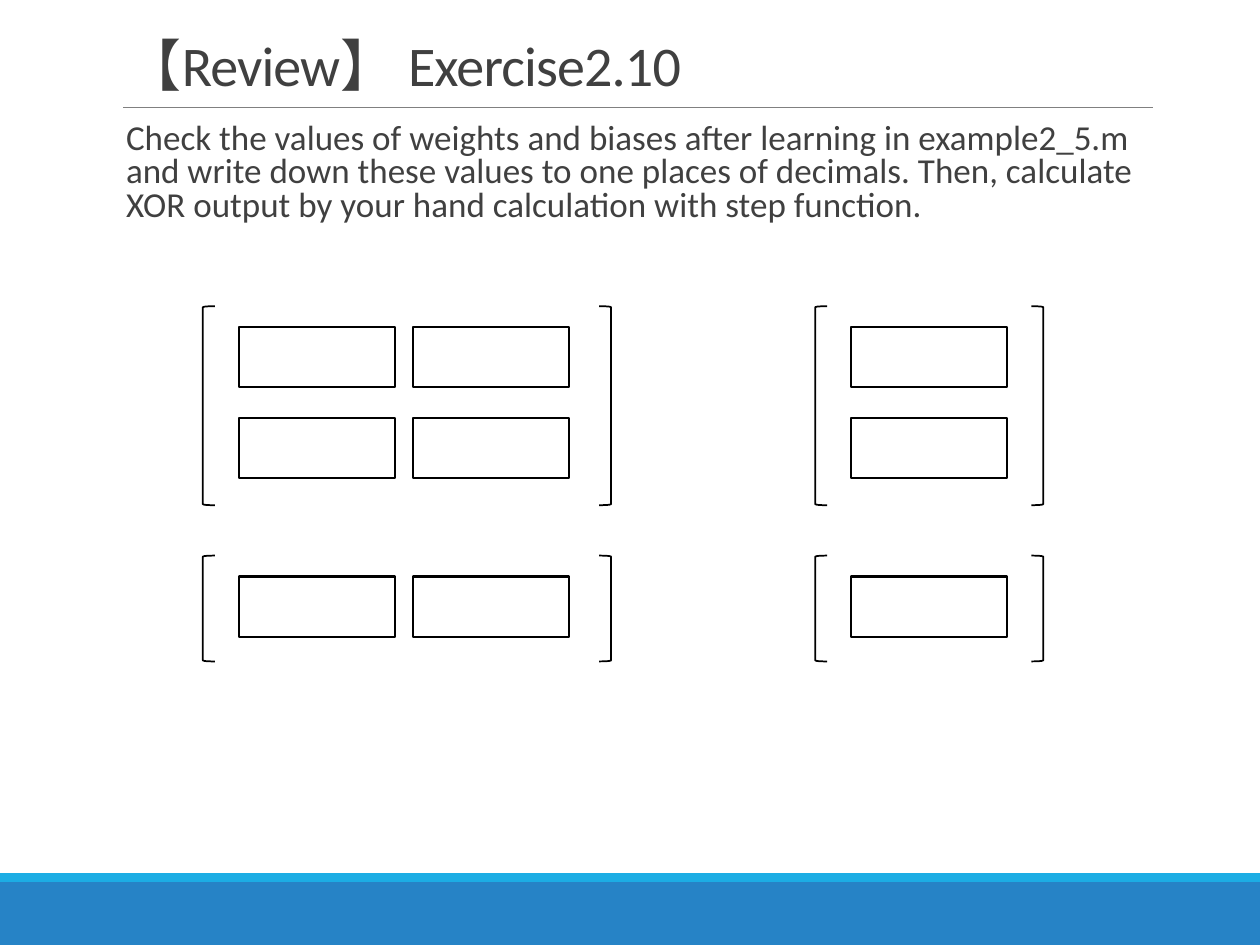
from dataclasses import dataclass
from pptx import Presentation
from pptx.dml.color import RGBColor
from pptx.enum.shapes import MSO_CONNECTOR as Connector, MSO_SHAPE as Shape
from pptx.enum.text import MSO_ANCHOR as Anchor
from pptx.oxml.ns import qn
from pptx.util import Inches, Pt
from lxml.etree import SubElement


@dataclass(frozen=True)
class Theme:
    font: str = "Calibri"
    text: str = "404040"
    ink: str = "000000"
    paper: str = "FFFFFF"
    rule: str = "808080"
    band: str = "2683C6"
    stripe: str = "1CADE4"
    title_size: float = 32
    body_size: float = 20
    rule_width: float = 0.5
    bracket_width: float = 1
    cell_width: float = 1.25


class SlideBuilder:
    COLUMNS, ROWS = 100, 75

    def __init__(self, deck, theme):
        self.theme = theme
        self.column = deck.slide_width / self.COLUMNS
        self.row = deck.slide_height / self.ROWS
        self.slide = deck.slides.add_slide(deck.slide_layouts[6])

    def place(self, left, top, width, height):
        return (round(left * self.column), round(top * self.row),
                round(width * self.column), round(height * self.row))

    def shape(self, kind, area, fill=None, line=None, width=1):
        item = self.slide.shapes.add_shape(kind, *self.place(*area))
        item.shadow.inherit = False
        if fill:
            item.fill.solid()
            item.fill.fore_color.rgb = RGBColor.from_string(fill)
        else:
            item.fill.background()
        if line:
            item.line.color.rgb = RGBColor.from_string(line)
            item.line.width = Pt(width)
        else:
            item.line.fill.background()

    def rule(self, left, right, row):
        ends = self.place(left, row, right, row)
        line = self.slide.shapes.add_connector(Connector.STRAIGHT, *ends)
        line.line.color.rgb = RGBColor.from_string(self.theme.rule)
        line.line.width = Pt(self.theme.rule_width)
        SubElement(line._element.spPr, qn("a:effectLst"))

    def text(self, area, words, size, spacing, anchor=Anchor.TOP, inset=0.1, indent=0, tracking=0):
        frame = self.slide.shapes.add_textbox(*self.place(*area)).text_frame
        frame.word_wrap = True
        frame.vertical_anchor = anchor
        frame.margin_left = frame.margin_right = Inches(inset)
        paragraph = frame.paragraphs[0]
        paragraph.line_spacing = spacing
        paragraph._p.get_or_add_pPr().set("marL", str(Inches(indent)))
        run = paragraph.add_run()
        run.text = words
        run.font.name = self.theme.font
        run.font.size = Pt(size)
        run.font.color.rgb = RGBColor.from_string(self.theme.text)
        run._r.get_or_add_rPr().set("spc", str(round(tracking * 100)))

    def matrix(self, left, top, width, height, rows, columns):
        theme = self.theme
        bracket = 0.95
        sides = ((Shape.LEFT_BRACKET, left), (Shape.RIGHT_BRACKET, left + width - bracket))
        for kind, edge in sides:
            self.shape(kind, (edge, top, bracket, height), line=theme.ink, width=theme.bracket_width)
        for row in range(rows):
            for column in range(columns):
                cell = (left + 2.85 + 13.8 * column, top + 1.65 + 7.2 * row, 12.4, 4.8)
                self.shape(Shape.RECTANGLE, cell, theme.paper, theme.ink, theme.cell_width)


def main():
    deck = Presentation()
    deck.slide_width, deck.slide_height = Inches(10), Inches(7.5)
    theme = Theme()
    page = SlideBuilder(deck, theme)

    page.shape(Shape.RECTANGLE, (0, 70, 100, 5), theme.band)
    page.shape(Shape.RECTANGLE, (0, 69.3, 100, 0.7), theme.stripe)
    page.rule(9.8, 91.5, 8.5)
    page.text((9, 1.8, 82.5, 6.5), "【Review】 Exercise2.10", theme.title_size, 0.85,
              anchor=Anchor.BOTTOM, tracking=-0.5)
    page.text((9, 9.3, 82.5, 9.7),
              "Check the values of weights and biases after learning in example2_5.m "
              "and write down these values to one places of decimals. Then, calculate "
              "XOR output by your hand calculation with step function.",
              theme.body_size, 0.8, inset=0, indent=0.1)

    weights, biases = (16.1, 32.4, 2), (64.7, 18.1, 1)
    hidden, output = (24.3, 15.8, 2), (44.1, 8.4, 1)
    for top, height, rows in (hidden, output):
        for left, width, columns in (weights, biases):
            page.matrix(left, top, width, height, rows, columns)

    deck.save("out.pptx")


if __name__ == "__main__":
    main()
